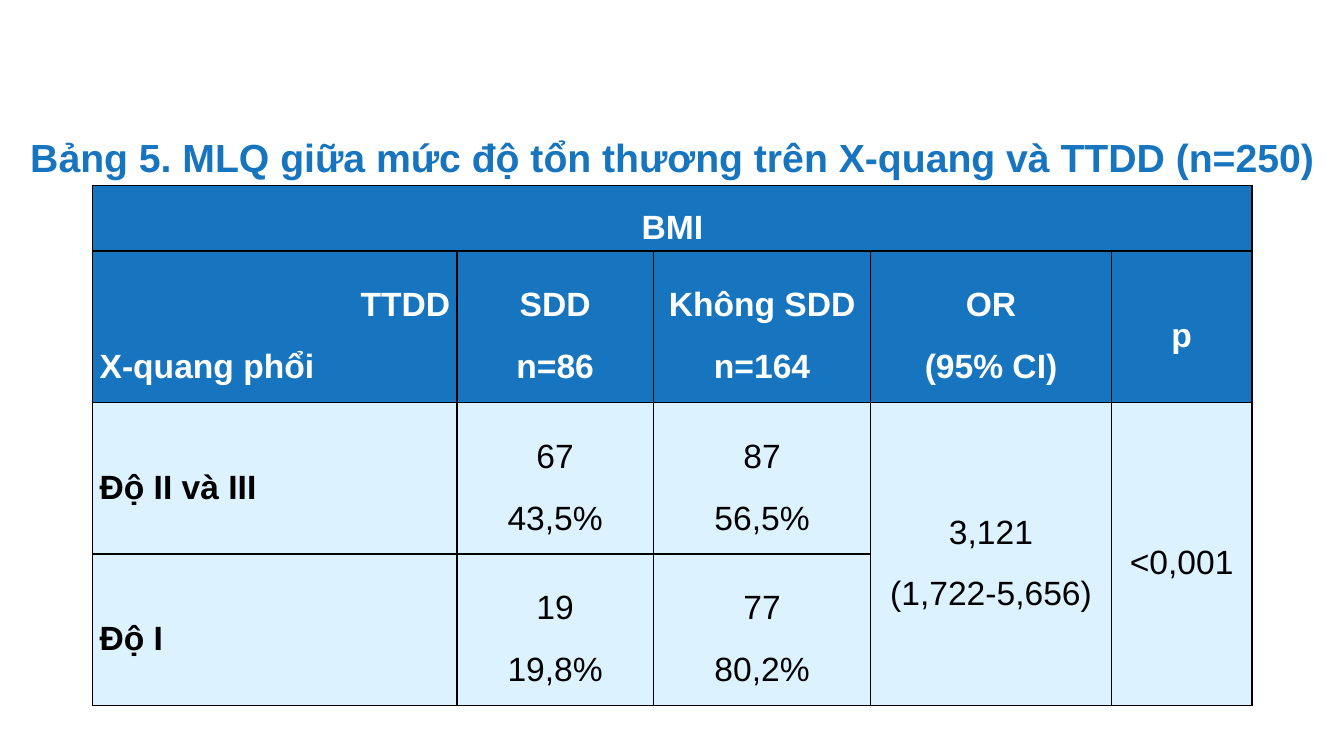
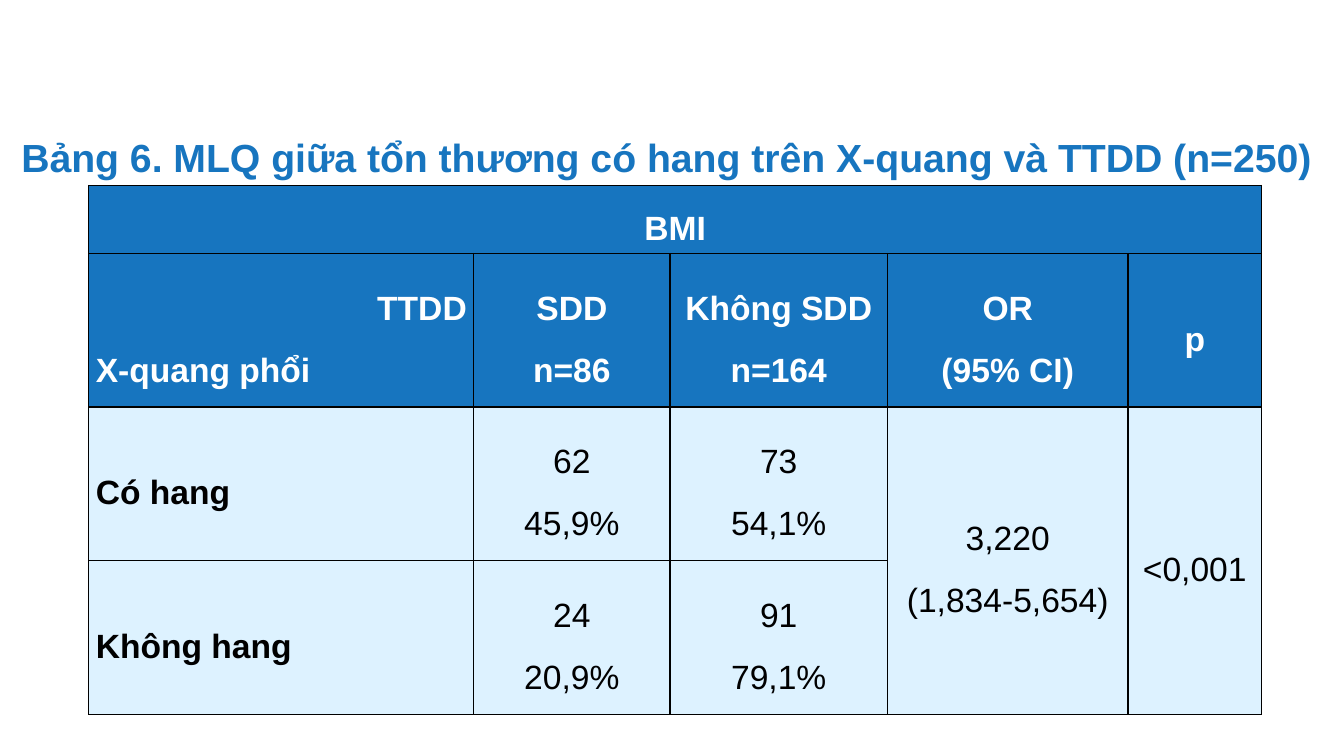
from lxml.etree import SubElement
from pptx import Presentation
from pptx.dml.color import RGBColor
from pptx.enum.text import MSO_ANCHOR as Anchor, MSO_AUTO_SIZE as AutoSize, PP_ALIGN as Align
from pptx.oxml.ns import qn
from pptx.util import Pt

# Shared look
FONT = "Arial"
BLUE, PALE, WHITE, BLACK = "1775BF", "DDF2FF", "FFFFFF", "000000"
TABLE_TOP = 132.5
TITLE_TOP, TITLE_HEIGHT = 91.4, 41
HEADER_ROWS = 2
PARA_FORMAT = {"line_spacing": 1.5, "space_before": Pt(2), "space_after": Pt(2)}
CELL_FORMAT = {"margin_left": Pt(5), "margin_right": Pt(5), "margin_top": 0,
               "margin_bottom": 0, "vertical_anchor": Anchor.MIDDLE}
TITLE_FRAME = {"margin_left": Pt(7.2), "margin_right": 0, "margin_top": Pt(3.6),
               "margin_bottom": Pt(3.6), "vertical_anchor": Anchor.MIDDLE,
               "word_wrap": True, "auto_size": AutoSize.NONE}

# Header rows and merged areas (first row, first column, last row, last column)
HEADER = [["BMI", "", "", "", ""],
          ["TTDD\nX-quang phổi", "SDD\nn=86", "Không SDD\nn=164", "OR\n(95% CI)", "p"]]
MERGES = [(0, 0, 0, 4), (2, 3, 3, 3), (2, 4, 3, 4)]

# What differs between the slides
SLIDES = [
    {"title": "Bảng 5. MLQ giữa mức độ tổn thương trên X-quang và TTDD (n=250)",
     "title_left": 14.4, "title_width": 934.6, "table_left": 66.2,
     "columns": [260.3, 140.2, 155.4, 171.7, 100.6],
     "rows": [46.8] + [108.2] * 3,
     "body": [["Độ II và III", "67\n43,5%", "87\n56,5%", "3,121\n(1,722-5,656)", "<0,001"],
              ["Độ I", "19\n19,8%", "77\n80,2%", "", ""]]},
    {"title": "Bảng 6. MLQ giữa tổn thương có hang trên X-quang và TTDD (n=250)",
     "title_left": 8, "title_width": 944, "table_left": 63.4,
     "columns": [275, 140.2, 155.4, 171.7, 95.5],
     "rows": [48.6] + [109.7] * 3,
     "body": [["Có hang", "62\n45,9%", "73\n54,1%", "3,220\n(1,834-5,654)", "<0,001"],
              ["Không hang", "24\n20,9%", "91\n79,1%", "", ""]]},
]


def color(hex_code):
    return RGBColor.from_string(hex_code)


def apply(target, values):
    for name, value in values.items():
        setattr(target, name, value)


def style_font(font, size, hex_code, bold):
    apply(font, {"name": FONT, "size": Pt(size), "bold": bold})
    font.color.rgb = color(hex_code)


def add_title(page, text, left, width):
    title = page.shapes.title
    apply(title, {"left": Pt(left), "top": Pt(TITLE_TOP),
                  "width": Pt(width), "height": Pt(TITLE_HEIGHT)})
    apply(title.text_frame, TITLE_FRAME)
    para = title.text_frame.paragraphs[0]
    para.alignment = Align.LEFT
    span = para.add_run()
    span.text = text
    style_font(span.font, 28, BLUE, True)


def add_borders(cell):
    properties = cell._tc.get_or_add_tcPr()
    for index, side in enumerate(("a:lnL", "a:lnR", "a:lnT", "a:lnB")):
        line = SubElement(properties, qn(side), w=str(Pt(1)))
        fill = SubElement(line, qn("a:solidFill"))
        SubElement(fill, qn("a:srgbClr"), val=BLACK)
        properties.insert(index, line)


def alignment_for(row, column, line):
    if column > 0 or row == 0:
        return Align.CENTER
    # The corner cell names the columns at right and the rows at left
    return Align.RIGHT if row == 1 and line == 0 else Align.LEFT


def fill_cell(cell, text, row, column):
    header = row < HEADER_ROWS
    apply(cell, CELL_FORMAT)
    cell.fill.solid()
    cell.fill.fore_color.rgb = color(BLUE if header else PALE)
    add_borders(cell)
    if not text:
        return
    cell.text = text
    for line, para in enumerate(cell.text_frame.paragraphs):
        apply(para, PARA_FORMAT)
        para.alignment = alignment_for(row, column, line)
        for span in para.runs:
            style_font(span.font, 24, WHITE if header else BLACK, header or column == 0)


def add_data_table(page, left, columns, rows, body):
    frame = page.shapes.add_table(len(rows), len(columns), Pt(left), Pt(TABLE_TOP),
                                  Pt(sum(columns)), Pt(sum(rows)))
    table = frame.table
    apply(table, {"first_row": False, "horz_banding": False})
    for column, width in zip(table.columns, columns):
        column.width = Pt(width)
    for row, height in zip(table.rows, rows):
        row.height = Pt(height)
    for row, texts in enumerate(HEADER + body):
        for column, text in enumerate(texts):
            fill_cell(table.cell(row, column), text, row, column)
    for top, first, bottom, last in MERGES:
        table.cell(top, first).merge(table.cell(bottom, last))


def main():
    deck = Presentation()
    apply(deck, {"slide_width": Pt(960), "slide_height": Pt(540)})
    title_only = deck.slide_layouts[5]
    for item in SLIDES:
        page = deck.slides.add_slide(title_only)
        add_data_table(page, item["table_left"], item["columns"], item["rows"], item["body"])
        add_title(page, item["title"], item["title_left"], item["title_width"])
    deck.save("out.pptx")


if __name__ == "__main__":
    main()
